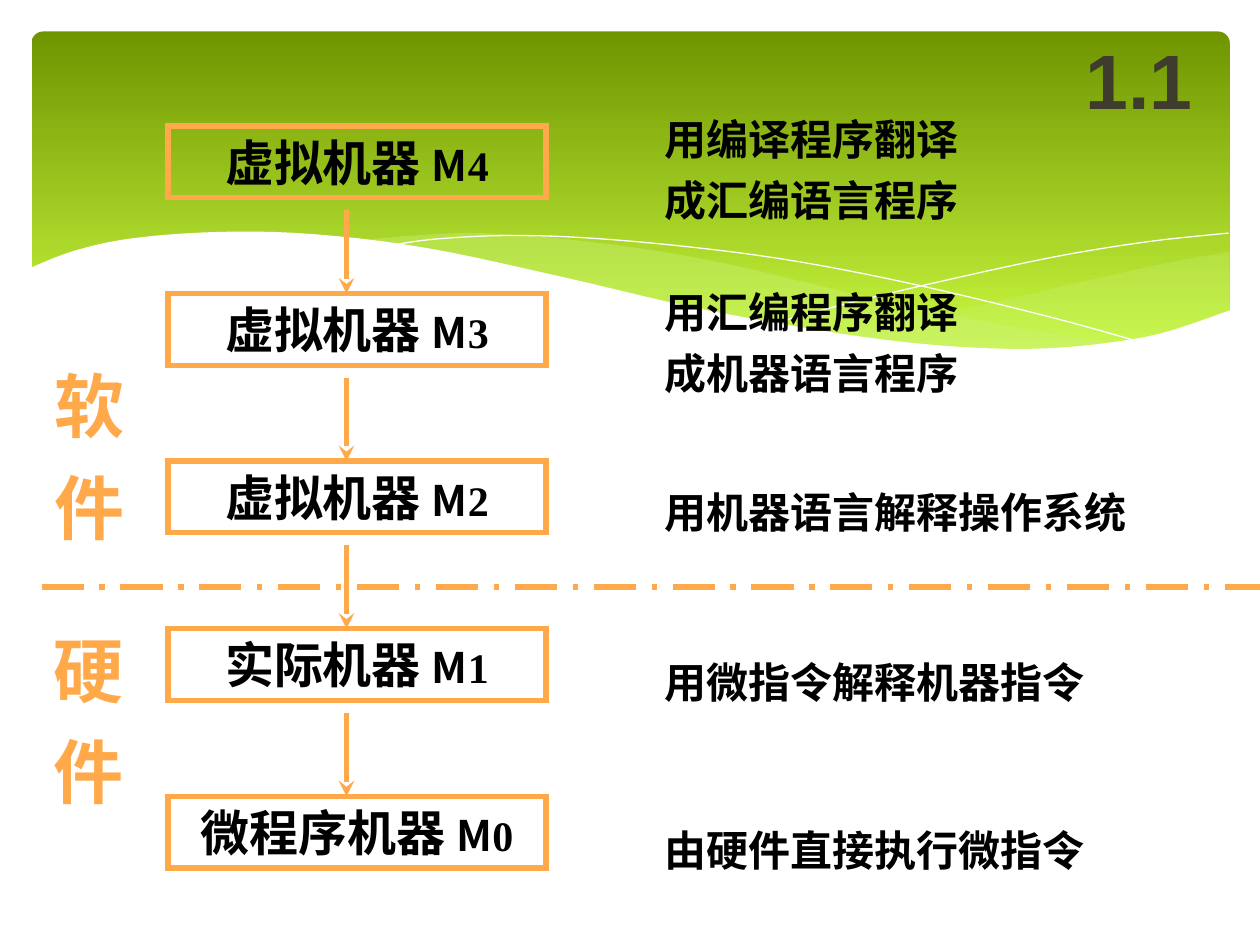
from pptx import Presentation
from pptx.dml.color import RGBColor
from pptx.enum.dml import MSO_LINE_DASH_STYLE as Dash
from pptx.enum.shapes import MSO_CONNECTOR as Connector, MSO_SHAPE as Shape
from pptx.enum.text import MSO_ANCHOR as Anchor, MSO_AUTO_SIZE as AutoSize, PP_ALIGN as Align
from pptx.oxml.ns import qn
from pptx.util import Pt
from lxml.etree import SubElement

COLORS = {"orange": "FFA94A", "black": "000000", "dark": "3E3D2D", "white": "FFFFFF",
          "green_top": "6F9500", "green_end": "D0FF44", "pale": "CAF278"}
CJK, SERIF, SANS = "Noto Sans CJK SC", "Times New Roman", "Arial"

# Key points of the banner curves, left to right
WAVE = [(16.6, 153.4), (42.5, 143.3), (76.3, 136.1), (126.7, 132.5), (180, 133.9),
        (244.1, 141.8), (321.8, 158.4), (399.6, 176.4), (481, 190.8), (535.7, 197.3),
        (582.5, 199.4), (621.4, 197.3), (662.4, 190.8), (703.4, 177.1)]
SWELL_TOP = [(475.9, 190.8), (560.9, 174.2), (619.9, 160.6), (673.2, 149), (702.7, 144)]
SWELL_BOTTOM = [(475.9, 190.8), (507.6, 195.1), (545, 198.7), (586.1, 200.2),
                (627.8, 197.3), (668.2, 189.4), (702.7, 177.8)]
BAND_TOP = [(205.9, 137.5), (236.2, 134.6), (273.6, 133.2), (317.5, 136.1), (370.1, 142.6),
            (420.5, 151.9), (481, 166.3), (558, 182.9), (602.6, 190.8), (643, 196.6)]
BAND_BOTTOM = [(205.9, 137.5), (246.2, 143.3), (275.8, 149), (323.3, 159.8), (381.6, 172.8),
               (432.7, 183.6), (489.6, 193), (538.6, 198.7), (581, 200.9), (610.6, 200.2),
               (643, 196.6)]
FALLING_LINE = [(222.5, 140.4), (247, 136.8), (288.7, 134.6), (337.7, 136.1), (400.3, 141.8),
                (457.9, 149.8), (523.4, 162.7), (598.3, 180.7), (653, 195.8)]
RISING_LINE = [(441.4, 185), (483.8, 173.5), (538.6, 160.6), (601.9, 146.9),
               (655.2, 138.2), (702, 133.2)]

# Machine levels, top to bottom
MACHINES = [("虚拟机器 ", "4"), ("虚拟机器 ", "3"), ("虚拟机器 ", "2"),
            ("实际机器 ", "1"), ("微程序机器 ", "0")]
BOX_LEFT, BOX_TOP, BOX_WIDTH, BOX_HEIGHT, BOX_STEP = 96, 72, 216, 41, 95.76
ARROW_X, ARROW_GAP = 198, 48.2

# Left, top, width, height, size, space between lines, colour, lines
LABELS = [
    (372.5, 61.2, 182.2, 71.3, 24, 6, "black", ["用编译程序翻译", "成汇编语言程序"]),
    (372.5, 160.2, 182.2, 71.3, 24, 6, "black", ["用汇编程序翻译", "成机器语言程序"]),
    (370.5, 274.3, 282, 36, 24, 6, "black", ["用机器语言解释操作系统"]),
    (372.5, 371.5, 254.2, 36, 24, 6, "black", ["用微指令解释机器指令"]),
    (372.5, 467.5, 254.2, 36, 24, 6, "black", ["由硬件直接执行微指令"]),
    (24, 203.8, 54, 113, 40, 10, "orange", ["软", "件"]),
    (23.3, 355, 54, 113, 40, 10, "orange", ["硬", "件"]),
]


def color(name):
    return RGBColor.from_string(COLORS[name])


def apply(target, values):
    for name, value in values.items():
        setattr(target, name, value)


def curve(points, steps=5):
    """Smooth polyline (Catmull-Rom) through the key points."""
    padded = [points[0], *points, points[-1]]
    result = []
    for a, b, c, d in zip(padded, padded[1:], padded[2:], padded[3:]):
        for step in range(steps):
            t = step / steps
            result.append(tuple(
                (2 * q + (r - p) * t + (2 * p - 5 * q + 4 * r - s) * t ** 2
                 + (3 * q - p - 3 * r + s) * t ** 3) / 2
                for p, q, r, s in zip(a, b, c, d)))
    return result + [points[-1]]


def add_outline(page, points, fill=None, opacity=100):
    """Filled area, or an open white hairline when there is no fill."""
    scaled = [(Pt(x), Pt(y)) for x, y in points]
    builder = page.shapes.build_freeform(*scaled[0])
    builder.add_line_segments(scaled[1:], close=fill is not None)
    shape = builder.convert_to_shape()
    shape.shadow.inherit = False
    if fill is None:
        shape.fill.background()
        shape.line.color.rgb = color("white")
        shape.line.width = Pt(0)
        return
    shape.line.fill.background()
    shape.fill.solid()
    shape.fill.fore_color.rgb = color(fill)
    if opacity < 100:
        tint = shape.fill._xPr.find(".//" + qn("a:srgbClr"))
        SubElement(tint, qn("a:alpha"), val=str(opacity * 1000))


def add_span(para, text, size, font=CJK, ink="black"):
    span = para.add_run()
    span.text = text
    apply(span.font, {"size": Pt(size), "bold": True, "name": font})
    span.font.color.rgb = color(ink)
    SubElement(span.font._element, qn("a:ea"), typeface=font)


def set_frame(box, wrap):
    apply(box.text_frame, {
        "word_wrap": wrap, "auto_size": AutoSize.SHAPE_TO_FIT_TEXT,
        "vertical_anchor": Anchor.TOP, "margin_left": Pt(7.2), "margin_right": Pt(7.2),
        "margin_top": Pt(3.6), "margin_bottom": Pt(3.6)})


def add_label(page, left, top, width, height, size, gap, ink, lines):
    box = page.shapes.add_textbox(Pt(left), Pt(top), Pt(width), Pt(height))
    set_frame(box, False)
    for index, line in enumerate(lines):
        para = box.text_frame.add_paragraph() if index else box.text_frame.paragraphs[0]
        apply(para, {"alignment": Align.CENTER, "line_spacing": Pt(1.2 * size),
                     "space_before": Pt(gap if index else 0)})
        add_span(para, line, size, ink=ink)


def add_machine(page, top, name, level):
    box = page.shapes.add_shape(Shape.RECTANGLE, Pt(BOX_LEFT), Pt(top),
                                Pt(BOX_WIDTH), Pt(BOX_HEIGHT))
    box.shadow.inherit = False
    box.fill.background()
    box.line.color.rgb = color("orange")
    box.line.width = Pt(3)
    SubElement(box.line._get_or_add_ln(), qn("a:miter"), lim="800000")
    set_frame(box, True)
    para = box.text_frame.paragraphs[0]
    apply(para, {"alignment": Align.CENTER, "line_spacing": Pt(33.6)})
    add_span(para, name, 28)
    add_span(para, "M", 24)
    add_span(para, level, 24, SERIF)


def add_line(page, x1, y1, x2, y2, dash=None, arrow=False):
    line = page.shapes.add_connector(Connector.STRAIGHT, Pt(x1), Pt(y1), Pt(x2), Pt(y2))
    line.line.color.rgb = color("orange")
    line.line.width = Pt(3)
    if dash:
        line.line.dash_style = dash
    if arrow:
        SubElement(line.line._get_or_add_ln(), qn("a:tailEnd"), type="stealth")
    SubElement(line._element.spPr, qn("a:effectLst"))


def add_banner(page):
    panel = page.shapes.add_shape(Shape.ROUNDED_RECTANGLE, Pt(18), Pt(18), Pt(684.7), Pt(194.4))
    panel.adjustments[0] = 0.034
    panel.shadow.inherit = False
    panel.line.fill.background()
    panel.fill.gradient()
    panel.fill.gradient_angle = 270
    for stop, position, name in zip(panel.fill.gradient_stops, (0, 1), ("green_top", "green_end")):
        stop.position = position
        stop.color.rgb = color(name)
    add_outline(page, curve(SWELL_TOP) + curve(SWELL_BOTTOM)[::-1], "pale", 29)
    add_outline(page, curve(BAND_TOP) + curve(BAND_BOTTOM)[::-1], "pale", 40)
    add_outline(page, curve(FALLING_LINE))
    add_outline(page, curve(RISING_LINE))
    add_outline(page, curve(WAVE) + [(703.4, 236.9), (16.6, 236.9)], "white")


def add_section_number(page):
    box = page.shapes.add_textbox(Pt(606), Pt(12), Pt(90), Pt(66))
    apply(box.text_frame, {"word_wrap": True, "vertical_anchor": Anchor.MIDDLE})
    para = box.text_frame.paragraphs[0]
    para.alignment = Align.CENTER
    add_span(para, "1.1", 44, SANS, "dark")


def main():
    deck = Presentation()
    apply(deck, {"slide_width": Pt(720), "slide_height": Pt(540)})
    page = deck.slides.add_slide(deck.slide_layouts[6])

    add_banner(page)

    # Explanations, software/hardware captions and their divider
    for label in LABELS:
        add_label(page, *label)
    add_line(page, 23.8, 335.5, 720, 335.5, dash=Dash.LONG_DASH_DOT)
    add_section_number(page)

    # Machine stack with arrows between the levels
    tops = [BOX_TOP + BOX_STEP * index for index in range(len(MACHINES))]
    for top, (name, level) in zip(tops, MACHINES):
        add_machine(page, top, name, level)
    for top, following in zip(tops, tops[1:]):
        add_line(page, ARROW_X, top + ARROW_GAP, ARROW_X, following, arrow=True)

    deck.save("out.pptx")


if __name__ == "__main__":
    main()
